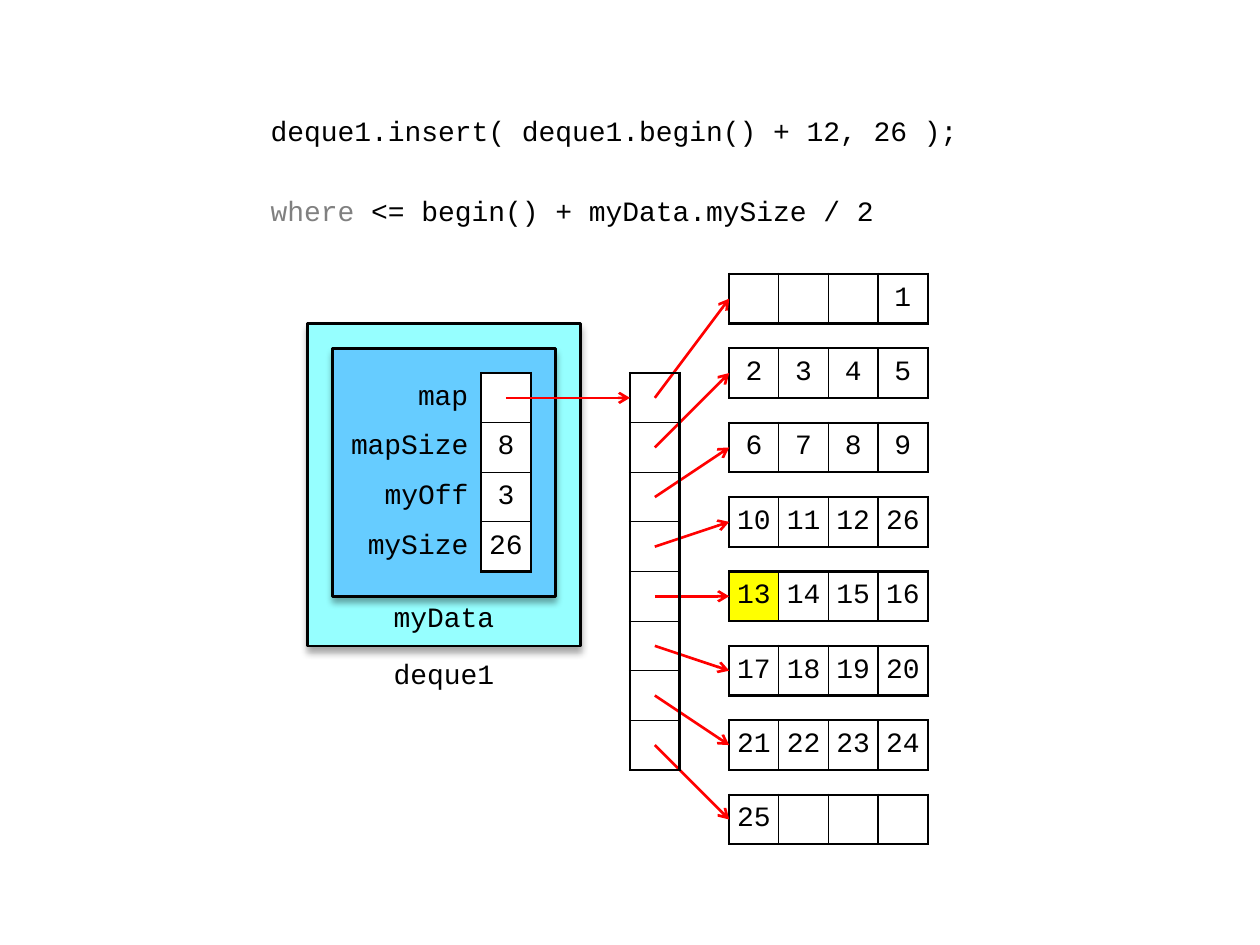
from lxml import etree
from pptx import Presentation
from pptx.dml.color import RGBColor
from pptx.enum.shapes import MSO_CONNECTOR, MSO_SHAPE
from pptx.enum.text import MSO_ANCHOR as ANCHOR, MSO_AUTO_SIZE, PP_ALIGN as ALIGN
from pptx.oxml.ns import qn
from pptx.util import Emu, Inches, Pt

SCALE = 7200  # EMU in one px, 127 px to the inch
CELL = 50
BLOCK_SIZE = 4
BLOCK_PITCH = 75
BLOCK_X, BLOCK_Y = 735, 276
MAP_X, MAP_Y = 635, 376
MEMBER_X = 335
LABEL_W = 150
THICK, THIN = 1.5, 0.75


def px(n):
    return Emu(n * SCALE)


def rgb(value):
    return RGBColor.from_string(value)


def set_all(target, values):
    for name, value in values.items():
        setattr(target, name, value)


def sub(parent, tag, **attrs):
    return etree.SubElement(parent, qn(tag), attrs)


class Diagram:
    """Holds the style and the current slide."""
    font = {"name": "Courier New", "size": Pt(16)}
    black, white, grey, red = "000000", "FFFFFF", "808080", "FF0000"
    cell_margins = {"margin_top": px(5), "margin_bottom": px(5)}

    def __init__(self, slide):
        self.slide = slide
        self.shapes = slide.shapes

    def run(self, p, text, color=black):
        r = p.add_run()
        r.text = text
        set_all(r.font, self.font)
        r.font.color.rgb = rgb(color)

    def code(self, sp, box, lines, gap):
        set_all(sp, dict(zip(("left", "top", "width", "height"), map(px, box))))
        tf = sp.text_frame
        set_all(tf, {"auto_size": MSO_AUTO_SIZE.NONE, "word_wrap": True,
                     "vertical_anchor": ANCHOR.TOP, "margin_top": px(12)})
        for i, parts in enumerate(lines):
            p = tf.add_paragraph() if i else tf.paragraphs[0]
            pPr = p._p.get_or_add_pPr()
            pPr.set("marL", "0")
            pPr.set("indent", "0")
            sub(pPr, "a:buNone")
            p.space_before = Pt(gap if i else 0)
            for text, color in parts:
                self.run(p, text, color)

    def box(self, x, y, w, h, fill):
        sp = self.shapes.add_shape(MSO_SHAPE.FLOWCHART_PROCESS, *map(px, (x, y, w, h)))
        sp.fill.solid()
        sp.fill.fore_color.rgb = rgb(fill)
        sp.line.color.rgb = rgb(self.black)
        sp.line.width = Pt(THICK)
        # Soft shadow straight below
        sp.shadow.inherit = False
        effects = sp._element.spPr.find(qn("a:effectLst"))
        shadow = sub(effects, "a:outerShdw", blurRad=str(Pt(4)), dist=str(Pt(3)),
                     dir="5400000", rotWithShape="0")
        sub(sub(shadow, "a:srgbClr", val=self.black), "a:alpha", val="35000")

    def label(self, x, y, w, h, text, anchor, top):
        tf = self.shapes.add_textbox(*map(px, (x, y, w, h))).text_frame
        set_all(tf, {"word_wrap": True, "vertical_anchor": anchor,
                     "margin_left": px(10), "margin_right": px(10),
                     "margin_top": px(top), "margin_bottom": 0})
        p = tf.paragraphs[0]
        p.alignment = ALIGN.CENTER
        self.run(p, text)

    def arrow(self, x1, y1, x2, y2):
        cn = self.shapes.add_connector(MSO_CONNECTOR.STRAIGHT, *map(px, (x1, y1, x2, y2)))
        cn.line.color.rgb = rgb(self.red)
        cn.line.width = Pt(THICK)
        sub(cn.line._get_or_add_ln(), "a:tailEnd", type="arrow")
        sub(cn._element.spPr, "a:effectLst")

    def table(self, x, y, widths, rows):
        frame = self.shapes.add_table(len(rows), len(widths), px(x), px(y),
                                      px(sum(widths)), px(CELL * len(rows)))
        table = frame.table
        set_all(table, {"first_row": False, "horz_banding": False})
        for column, width in zip(table.columns, widths):
            column.width = px(width)
        for row in table.rows:
            row.height = px(CELL)
        return table

    def cell(self, cell, text, borders, fill=None, align=ALIGN.CENTER, side=5):
        """Borders are widths for left, right, top and bottom; 0 is none."""
        set_all(cell, {**self.cell_margins, "vertical_anchor": ANCHOR.MIDDLE,
                       "margin_left": px(side), "margin_right": px(side)})
        if fill:
            cell.fill.solid()
            cell.fill.fore_color.rgb = rgb(fill)
        else:
            cell.fill.background()
        tcPr = cell._tc.get_or_add_tcPr()
        for i, (edge, width) in enumerate(zip("LRTB", borders)):
            ln = etree.Element(qn(f"a:ln{edge}"), w=str(Pt(width)))
            if width:
                sub(sub(ln, "a:solidFill"), "a:srgbClr", val=self.black)
            else:
                sub(ln, "a:noFill")
            tcPr.insert(i, ln)
        if text:
            p = cell.text_frame.paragraphs[0]
            p.alignment = align
            self.run(p, text)

    def strip(self, x, y, rows, marked=None):
        """A grid of cells with a thick outline and thin dividers."""
        n_rows, n_cols = len(rows), len(rows[0])
        table = self.table(x, y, [CELL] * n_cols, rows)
        for i, row in enumerate(rows):
            for j, text in enumerate(row):
                outer = (j == 0, j == n_cols - 1, i == 0, i == n_rows - 1)
                borders = [THICK if edge else THIN for edge in outer]
                fill = "FFFF00" if text and text == marked else None
                self.cell(table.cell(i, j), text, borders, fill)

    def members(self, x, y, fields):
        """Right-aligned names beside a column of values."""
        table = self.table(x, y, [LABEL_W, CELL], fields)
        last = len(fields) - 1
        for i, (name, value) in enumerate(fields):
            self.cell(table.cell(i, 0), name, (0, THICK, 0, 0), align=ALIGN.RIGHT, side=13)
            borders = (THICK, THICK, THIN if i else THICK, THICK if i == last else THIN)
            self.cell(table.cell(i, 1), value, borders, self.white)


def main():
    prs = Presentation()
    prs.slide_width, prs.slide_height = Inches(10), Inches(7.5)
    s = prs.slides.add_slide(prs.slide_layouts[1])
    d = Diagram(s)

    # Code lines in the body placeholder
    title = s.shapes.title._element
    title.getparent().remove(title)
    d.code(s.placeholders[1], (260, 102, 750, 125), [
        [("deque1.insert( deque1.begin() + 12, 26 );", d.black)],
        [("where", d.grey), (" <= begin() + myData.mySize / 2", d.black)],
    ], gap=26.5)

    # The deque object and its data
    d.box(310, 326, 275, 325, "96FFFF")
    d.box(MEMBER_X, 351, 225, 250, "66CCFF")
    d.label(360, 651, 175, CELL, "deque1", ANCHOR.MIDDLE, 5)
    d.label(385, 601, 125, CELL, "myData", ANCHOR.TOP, 3)
    d.members(MEMBER_X, MAP_Y,
              [("map", ""), ("mapSize", "8"), ("myOff", "3"), ("mySize", "26")])

    # Blocks, each reached from its map entry
    values = [""] * 3 + [str(n) for n in (*range(1, 13), 26, *range(13, 26))] + [""] * 3
    blocks = [values[i:i + BLOCK_SIZE] for i in range(0, len(values), BLOCK_SIZE)]
    half = CELL // 2
    for i, block in enumerate(blocks):
        y = BLOCK_Y + i * BLOCK_PITCH
        d.strip(BLOCK_X, y, [block], marked="13")
        d.arrow(MAP_X + half, MAP_Y + i * CELL + half, BLOCK_X, y + half)

    # The map itself
    d.strip(MAP_X, MAP_Y, [[""]] * len(blocks))
    d.arrow(MEMBER_X + LABEL_W + half, MAP_Y + half, MAP_X, MAP_Y + half)

    prs.save("out.pptx")


if __name__ == "__main__":
    main()
